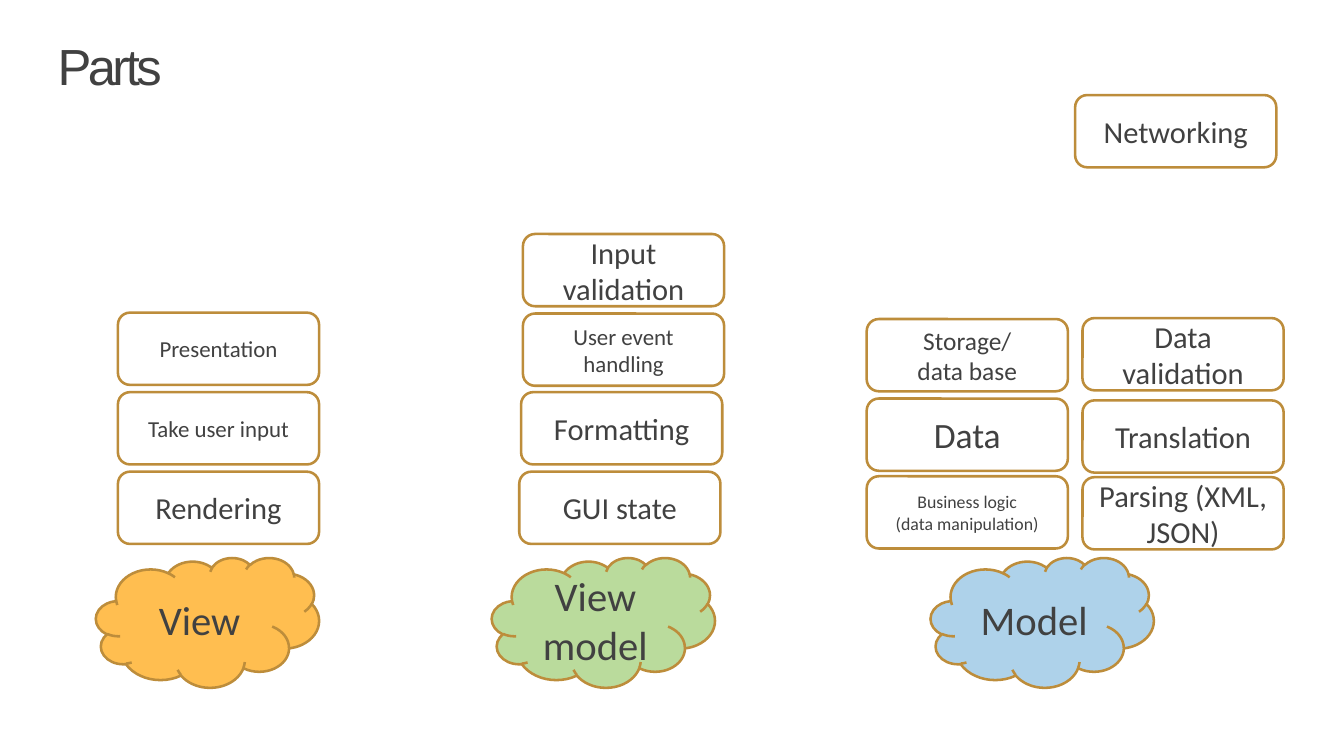
"""Build the slide that sorts app parts into View, View model and Model."""
import pptx
import pptx.dml.color
import pptx.enum.shapes
import pptx.enum.text
import pptx.util
from pptx.util import Inches

TITLE = "Parts"
INK, OUTLINE, WHITE = "414141", "BD8D3B", "FFFFFF"
CLOUD_TOP, CLOUD_SIZE, CLOUD_FONT = 6.1, (2.44, 1.42), 32
PART_SIZE = (2.2, 0.79)

LAYERS = [
    ("View", 1.05, "FFBE50"),
    ("View model", 5.38, "BADB9C"),
    ("Model", 10.18, "AED2EA"),
]

PARTS = [
    (1.29, 3.42, 18, ["Presentation"]),
    (1.29, 4.29, 18, ["Take user input"]),
    (1.29, 5.16, 24, ["Rendering"]),
    (5.72, 2.56, 24, ["Input validation"]),
    (5.72, 3.43, 18, ["User event handling"]),
    (5.7, 4.29, 24, ["Formatting"]),
    (5.68, 5.16, 24, ["GUI state"]),
    (9.48, 3.49, 20, ["Storage/", "data base"]),
    (9.48, 4.36, 28, ["Data"]),
    (9.48, 5.21, 14, ["Business logic", "(data manipulation)"]),
    (11.84, 3.48, 24, ["Data validation"]),
    (11.84, 4.38, 24, ["Translation"]),
    (11.84, 5.22, 24, ["Parsing (XML, JSON)"]),
    (11.76, 1.04, 24, ["Networking"]),
]


def color(value):
    return pptx.dml.color.RGBColor.from_string(value)


def add_run(paragraph, text, size, font):
    run = paragraph.add_run()
    run.text = text
    run.font.size = pptx.util.Pt(size)
    run.font.name = font
    run.font.color.rgb = color(INK)
    return run


def add_label(slide, preset, left, top, dimensions, fill, size, lines):
    label = slide.shapes.add_shape(preset, *map(Inches, (left, top, *dimensions)))
    label.shadow.inherit = False
    label.fill.solid()
    label.fill.fore_color.rgb = color(fill)
    label.line.color.rgb = color(OUTLINE)
    label.line.width = pptx.util.Pt(2)
    frame = label.text_frame
    frame.word_wrap = True
    frame.vertical_anchor = pptx.enum.text.MSO_ANCHOR.MIDDLE
    for index, line in enumerate(lines):
        paragraph = frame.add_paragraph() if index else frame.paragraphs[0]
        paragraph.alignment = pptx.enum.text.PP_ALIGN.CENTER
        add_run(paragraph, line, size, "Calibri")


def add_title(slide):
    title = slide.shapes.title
    title.left, title.top = Inches(0.63), Inches(0.43)
    title.width, title.height = Inches(14.07), Inches(1.02)
    frame = title.text_frame
    frame.auto_size = pptx.enum.text.MSO_AUTO_SIZE.NONE
    frame.vertical_anchor = pptx.enum.text.MSO_ANCHOR.TOP
    frame.margin_left = frame.margin_right = frame.margin_bottom = 0
    frame.margin_top = Inches(0.12)
    paragraph = frame.paragraphs[0]
    paragraph.alignment = pptx.enum.text.PP_ALIGN.LEFT
    paragraph.line_spacing = 0.73
    run = add_run(paragraph, TITLE, 40, "Arial")
    run._r.get_or_add_rPr().set("spc", "-280")


def main():
    deck = pptx.Presentation()
    deck.slide_width, deck.slide_height = Inches(14.7), Inches(8.27)
    slide = deck.slides.add_slide(deck.slide_layouts[5])
    add_title(slide)
    presets = pptx.enum.shapes.MSO_SHAPE
    for layer, left, fill in LAYERS:
        add_label(slide, presets.CLOUD, left, CLOUD_TOP, CLOUD_SIZE, fill, CLOUD_FONT, [layer])
    for left, top, size, lines in PARTS:
        add_label(slide, presets.ROUNDED_RECTANGLE, left, top, PART_SIZE, WHITE, size, lines)
    deck.save("out.pptx")


if __name__ == "__main__":
    main()
